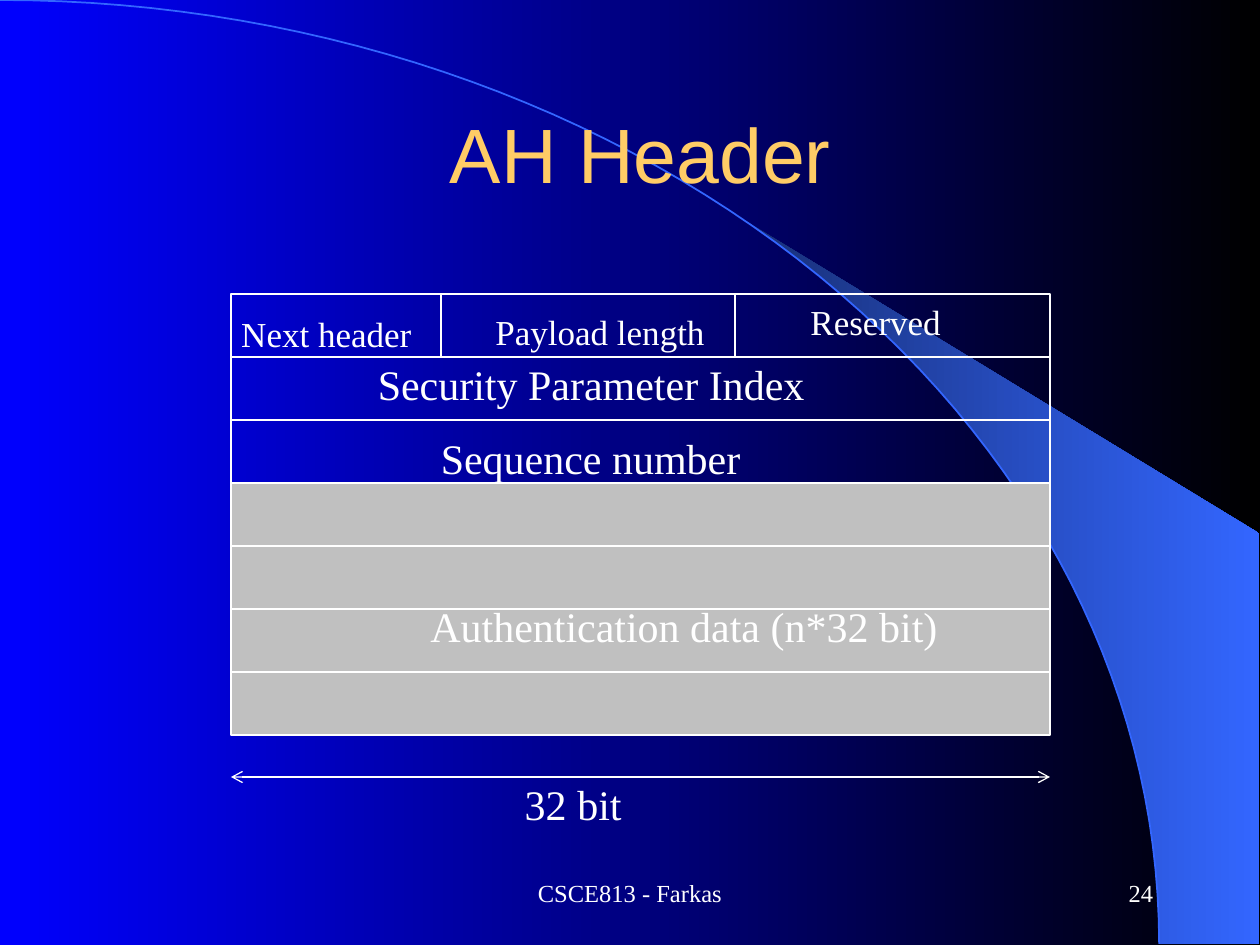
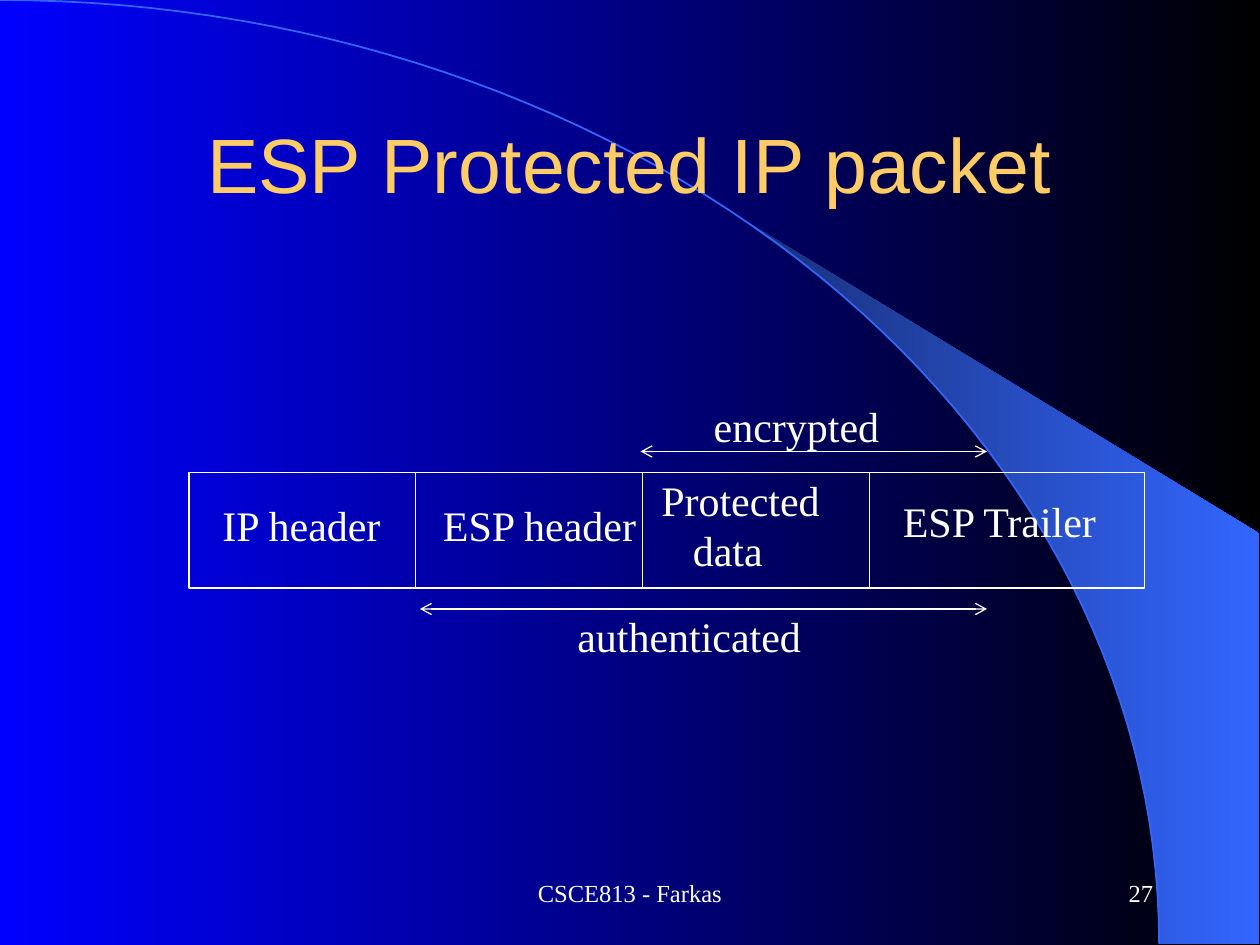
import math
from dataclasses import dataclass, field
from typing import Any, NamedTuple

import pptx
import pptx.dml.color
import pptx.dml.fill
import pptx.enum.dml
import pptx.enum.shapes
import pptx.enum.text
import pptx.oxml
import pptx.oxml.ns
import pptx.presentation
import pptx.shapes.autoshape
import pptx.slide
import pptx.text.text
import pptx.util

ALIGN = pptx.enum.text.PP_ALIGN
ANCHOR = pptx.enum.text.MSO_ANCHOR
WIDTH, HEIGHT = pptx.util.Inches(10), pptx.util.Inches(7.5)
COLS, ROWS = 120, 90
TITLE_ONLY = 5


@dataclass(frozen=True)
class Theme:
    back: tuple[str, str] = ("0000FF", "000000")
    swoosh: tuple[str, str] = ("182F76", "3366FF")
    arc: str = "3366FF"
    title: str = "FFCC66"
    ink: str = "FFFFFF"
    shade: str = "C0C0C0"
    head_font: str = "Arial"
    body_font: str = "Times New Roman"
    title_size: int = 44
    label_size: int = 24
    field_size: int = 20
    footer_size: int = 14
    rule: float = 0.75
    arc_rule: float = 1


THEME = Theme()


class Box(NamedTuple):
    """Left, top, width and height in grid columns and rows."""
    col: float
    row: float
    cols: float
    rows: float = 6


@dataclass(frozen=True)
class Cell:
    box: Box
    fill: str | None = None


@dataclass(frozen=True)
class Line:
    start: tuple[float, float]
    end: tuple[float, float]
    arrows: bool = False


@dataclass(frozen=True)
class Label:
    text: str
    box: Box
    size: int = THEME.label_size
    indents: dict[int, float] = field(default_factory=dict)  # line: columns


@dataclass(frozen=True)
class Diagram:
    title: str
    title_box: Box
    number: int
    cells: list[Cell]
    lines: list[Line]
    labels: list[Label]


def x(col: float) -> int:
    return round(WIDTH * col / COLS)


def y(row: float) -> int:
    return round(HEIGHT * row / ROWS)


def place(box: Box) -> tuple[int, int, int, int]:
    return x(box.col), y(box.row), x(box.cols), y(box.rows)


def rgb(value: str) -> pptx.dml.color.RGBColor:
    return pptx.dml.color.RGBColor.from_string(value)


def assign(obj: Any, values: dict[str, Any]) -> None:
    for name, value in values.items():
        setattr(obj, name, value)


def set_gradient(fill: pptx.dml.fill.FillFormat, colors: tuple[str, str]) -> None:
    fill.gradient()
    fill.gradient_angle = 0
    for stop, color in zip(fill.gradient_stops, colors):
        stop.color.rgb = rgb(color)


def set_font(p: pptx.text.text._Paragraph, size: int, color: str = THEME.ink,
             name: str = THEME.body_font) -> None:
    for r in p.runs:
        assign(r.font, {"size": pptx.util.Pt(size), "name": name, "bold": False})
        r.font.color.rgb = rgb(color)


def set_line(line: Any, color: str = THEME.ink, width: float = THEME.rule) -> None:
    line.color.rgb = rgb(color)
    line.width = pptx.util.Pt(width)


def arc_points(start: float, end: float, steps: int) -> list[tuple[int, int]]:
    """Points of the quarter ellipse around the lower left corner, in degrees."""
    angles = [math.radians(start + (end - start) * i / steps) for i in range(steps + 1)]
    return [(x(110.4 * math.sin(a)), y(89.9 * (1 - math.cos(a)))) for a in angles]


def add_outline(s: pptx.slide.Slide, points: list[tuple[int, int]],
                close: bool) -> pptx.shapes.autoshape.Shape:
    builder = s.shapes.build_freeform(*points[0])
    builder.add_line_segments(points[1:], close=close)
    sp = builder.convert_to_shape()
    sp.shadow.inherit = False
    return sp


def add_swoosh(s: pptx.slide.Slide) -> None:
    right = x(119.9)
    corner = [(right, y(89.9)), (right, y(50.8))]
    band = add_outline(s, arc_points(39.8, 90, 24) + corner, True)
    set_gradient(band.fill, THEME.swoosh)
    band.line.fill.background()
    arc = add_outline(s, arc_points(0, 90, 60), False)
    arc.fill.background()
    set_line(arc.line, THEME.arc, THEME.arc_rule)


def add_footer(s: pptx.slide.Slide, text: str, box: Box, align: ALIGN) -> None:
    tf = s.shapes.add_textbox(*place(box)).text_frame
    assign(tf, {"text": text, "word_wrap": True, "vertical_anchor": ANCHOR.MIDDLE})
    p = tf.paragraphs[0]
    p.alignment = align
    set_font(p, THEME.footer_size)


def add_title(s: pptx.slide.Slide, text: str, box: Box) -> None:
    sp = s.shapes.title
    assign(sp, dict(zip(("left", "top", "width", "height"), place(box))))
    tf = sp.text_frame
    assign(tf, {"text": text, "vertical_anchor": ANCHOR.MIDDLE})
    p = tf.paragraphs[0]
    p.alignment = ALIGN.CENTER
    set_font(p, THEME.title_size, THEME.title, THEME.head_font)


def add_cell(s: pptx.slide.Slide, cell: Cell) -> None:
    sp = s.shapes.add_shape(pptx.enum.shapes.MSO_SHAPE.RECTANGLE, *place(cell.box))
    sp.shadow.inherit = False
    if cell.fill:
        sp.fill.solid()
        sp.fill.fore_color.rgb = rgb(cell.fill)
    else:
        sp.fill.background()
    set_line(sp.line)


def add_line(s: pptx.slide.Slide, line: Line) -> None:
    (x1, y1), (x2, y2) = line.start, line.end
    cx = s.shapes.add_connector(pptx.enum.shapes.MSO_CONNECTOR.STRAIGHT,
                                x(x1), y(y1), x(x2), y(y2))
    set_line(cx.line)
    if line.arrows:
        ln = cx.line._get_or_add_ln()
        for tag in ("a:headEnd", "a:tailEnd"):
            ln.append(pptx.oxml.parse_xml(
                f'<{tag} {pptx.oxml.ns.nsdecls("a")} type="arrow"/>'))
    cx._element.spPr.append(pptx.oxml.parse_xml(
        f'<a:effectLst {pptx.oxml.ns.nsdecls("a")}/>'))


def add_label(s: pptx.slide.Slide, label: Label) -> None:
    tf = s.shapes.add_textbox(*place(label.box)).text_frame
    assign(tf, {"text": label.text, "word_wrap": False,
                "auto_size": pptx.enum.text.MSO_AUTO_SIZE.SHAPE_TO_FIT_TEXT})
    for i, p in enumerate(tf.paragraphs):
        p.alignment = ALIGN.LEFT
        if i in label.indents:
            p._p.get_or_add_pPr().set("marL", str(x(label.indents[i])))
        set_font(p, label.size)


def add_diagram(prs: pptx.presentation.Presentation, diagram: Diagram) -> None:
    s = prs.slides.add_slide(prs.slide_layouts[TITLE_ONLY])
    set_gradient(s.background.fill, THEME.back)
    add_swoosh(s)
    # The title stands above the swoosh
    s.shapes._spTree.append(s.shapes.title._element)
    add_footer(s, "CSCE813 - Farkas", Box(41, 82, 38), ALIGN.CENTER)
    add_footer(s, str(diagram.number), Box(86, 82, 25), ALIGN.RIGHT)
    add_title(s, diagram.title, diagram.title_box)
    for cell in diagram.cells:
        add_cell(s, cell)
    for line in diagram.lines:
        add_line(s, line)
    for label in diagram.labels:
        add_label(s, label)


def ah_header() -> Diagram:
    left, top, width, height = 22, 28, 78, 6
    plain_rows, data_rows = 3, 4
    cells = [Cell(Box(left, top + i * height, width, height),
                  THEME.shade if i >= plain_rows else None)
             for i in range(plain_rows + data_rows)]
    dividers = [Line((col, top), (col, top + height)) for col in (42, 70)]
    span = Line((left, 74), (left + width, 74), arrows=True)
    small = THEME.field_size
    return Diagram("AH Header", Box(10, 7, 102, 15), 24, cells, [*dividers, span], [
        Label("32 bit", Box(48.8, 73.6, 12)),
        Label("Authentication data (n*32 bit)", Box(39.8, 56.6, 51.5)),
        Label("Sequence number", Box(40.8, 40.6, 31.5)),
        Label("Security Parameter Index", Box(34.8, 33.6, 43.5)),
        Label("Next header", Box(21.8, 29.2, 19, 5.3), small),
        Label("Payload length", Box(46, 29, 23, 5.3), small),
        Label("Reserved", Box(76, 28, 16, 5.3), small),
    ])


def esp_packet() -> Diagram:
    left, top, height = 18, 45, 11
    part, trailer = 21.6, 26.2
    cells = [Cell(Box(left + i * part, top, width, height))
             for i, width in enumerate([part] * 3 + [trailer])]
    spans = [Line((40, 58), (94, 58), arrows=True),
             Line((61, 43), (94, 43), arrows=True)]
    return Diagram("ESP Protected IP packet", Box(9, 8, 102, 15), 27, cells, spans, [
        Label("ESP Trailer", Box(84.8, 46.6, 21.5)),
        Label("Protected\ndata", Box(61.8, 44.6, 18, 10.8), indents={1: 3}),
        Label("ESP header", Box(41, 47, 21.5)),
        Label("IP header", Box(20, 47, 18)),
        Label("authenticated", Box(53.8, 57.6, 24.5)),
        Label("encrypted", Box(66.8, 37.6, 19)),
    ])


def main() -> None:
    prs = pptx.Presentation()
    assign(prs, {"slide_width": WIDTH, "slide_height": HEIGHT})
    for diagram in (ah_header(), esp_packet()):
        add_diagram(prs, diagram)
    prs.save("out.pptx")


if __name__ == "__main__":
    main()
